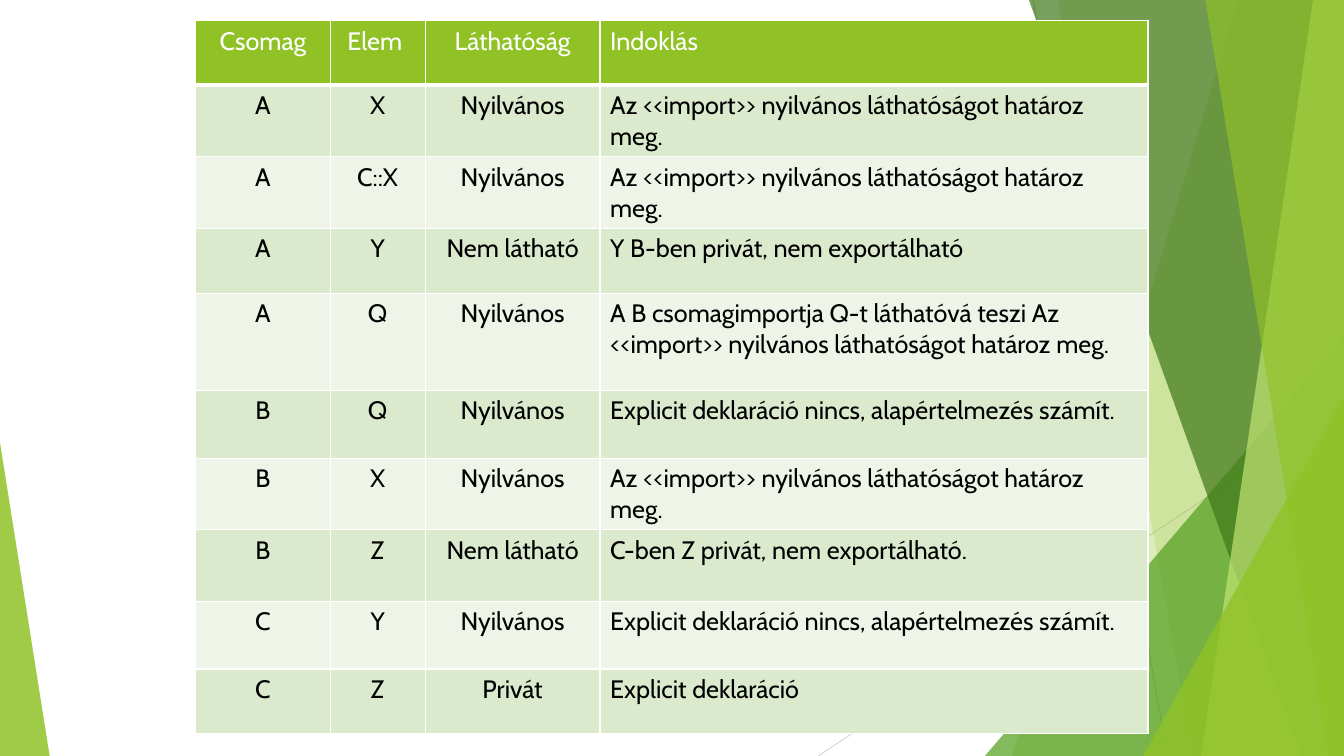
import pptx
import pptx.util
import pptx.dml.color
import pptx.enum.shapes
import pptx.enum.text
import pptx.oxml.ns
from lxml import etree

Pt = pptx.util.Pt
WIDTH, HEIGHT = 960, 540
COLORS = {
    "lime": "90C226", "green": "54A021", "forest": "3F7819", "pale": "C0E474",
    "band_dark": "DBE9CD", "band_light": "EEF4E8", "white": "FFFFFF",
    "black": "000000", "gray": "BFBFBF", "light_gray": "D9D9D9",
}


def add_element(parent, tag, **attributes):
    return etree.SubElement(parent, pptx.oxml.ns.qn(tag), **attributes)


class SlideBuilder:
    font, size = "Cabin", 18

    def __init__(self, presentation):
        self.slide = presentation.slides.add_slide(presentation.slide_layouts[6])

    def color(self, name):
        return pptx.dml.color.RGBColor.from_string(COLORS[name])

    def line(self, start, end, color):
        connector = self.slide.shapes.add_connector(
            pptx.enum.shapes.MSO_CONNECTOR.STRAIGHT, *map(Pt, start + end))
        connector.line.color.rgb = self.color(color)
        connector.line.width = Pt(0.75)
        add_element(connector._element.spPr, "a:effectLst")

    def paint(self, shape, color, opacity):
        shape.shadow.inherit = False
        shape.line.fill.background()
        shape.fill.solid()
        shape.fill.fore_color.rgb = self.color(color)
        solid = shape._element.spPr.find(pptx.oxml.ns.qn("a:solidFill"))
        add_element(solid[0], "a:alpha", val=str(opacity * 1000))

    def ray(self, top_x, bottom_x, color, opacity):
        """A full-height facet that reaches the right edge of the slide."""
        builder = self.slide.shapes.build_freeform(Pt(top_x), 0)
        corners = [(WIDTH, 0), (WIDTH, HEIGHT), (bottom_x, HEIGHT)]
        builder.add_line_segments([(Pt(x), Pt(y)) for x, y in corners], close=True)
        self.paint(builder.convert_to_shape(), color, opacity)

    def triangle(self, left, top, width, apex, color, opacity):
        """A triangle standing on the bottom edge of the slide."""
        shape = self.slide.shapes.add_shape(
            pptx.enum.shapes.MSO_SHAPE.ISOSCELES_TRIANGLE,
            Pt(left), Pt(top), Pt(width), Pt(HEIGHT - top))
        shape.adjustments[0] = apex
        self.paint(shape, color, opacity)

    def cell(self, cell, text, fill, color, centered, bottom_border):
        paragraph = cell.text_frame.paragraphs[0]
        if centered:
            paragraph.alignment = pptx.enum.text.PP_ALIGN.CENTER
        run = paragraph.add_run()
        run.text = text
        run.font.name = self.font
        run.font.size = Pt(self.size)
        run.font.color.rgb = self.color(color)
        # Borders come before the fill in the cell properties
        properties = cell._tc.get_or_add_tcPr()
        for side in "LRTB":
            width = bottom_border if side == "B" else 1
            border = add_element(properties, f"a:ln{side}", w=str(Pt(width)))
            add_element(add_element(border, "a:solidFill"), "a:srgbClr", val=COLORS["white"])
        cell.fill.solid()
        cell.fill.fore_color.rgb = self.color(fill)

    def table(self, left, top, widths, heights, rows):
        table = self.slide.shapes.add_table(
            len(rows), len(widths), Pt(left), Pt(top),
            Pt(sum(widths)), Pt(sum(heights))).table
        for column, width in zip(table.columns, widths):
            column.width = Pt(width)
        for i, (height, texts) in enumerate(zip(heights, rows)):
            table.rows[i].height = Pt(height)
            header = i == 0
            fill = "lime" if header else "band_dark" if i % 2 else "band_light"
            for j, text in enumerate(texts):
                self.cell(table.cell(i, j), text, fill, "white" if header else "black",
                          j < len(widths) - 1, 3 if header else 1)


IMPORT = "Az <<import>> nyilvános láthatóságot határoz meg."
DEFAULT = "Explicit deklaráció nincs, alapértelmezés számít."
VISIBILITY_ROWS = [
    ("Csomag", "Elem ", "Láthatóság", "Indoklás"),
    ("A", "X", "Nyilvános", IMPORT),
    ("A", "C::X", "Nyilvános", IMPORT),
    ("A", "Y", "Nem látható", "Y B-ben privát, nem exportálható"),
    ("A", "Q", "Nyilvános", f"A B csomagimportja Q-t láthatóvá teszi {IMPORT}"),
    ("B", "Q", "Nyilvános", DEFAULT),
    ("B", "X", "Nyilvános", IMPORT),
    ("B", "Z", "Nem látható", "C-ben Z privát, nem exportálható."),
    ("C", "Y", "Nyilvános", DEFAULT),
    ("C", "Z", "Privát", "Explicit deklaráció"),
]


def main():
    presentation = pptx.Presentation()
    presentation.slide_width, presentation.slide_height = Pt(WIDTH), Pt(HEIGHT)
    builder = SlideBuilder(presentation)

    # Background facets
    builder.line((738, 0), (834, HEIGHT), "gray")
    builder.line((WIDTH, 290), (584.5, HEIGHT), "light_gray")
    builder.ray(884, 723, "lime", 30)
    builder.ray(756, 852, "lime", 20)
    builder.triangle(703.5, 240, 256.5, 1, "green", 72)
    builder.ray(735, 929.5, "forest", 70)
    builder.ray(938, 858, "pale", 70)
    builder.ray(861, 949, "lime", 65)
    builder.triangle(816.5, 283, 143.5, 1, "lime", 80)
    builder.triangle(0, 316, 35.5, 0, "lime", 85)

    # Visibility table
    builder.table(139.7, 14.9, [96.2, 67.8, 125, 391.4],
                  [46, 51, 51, 46.3, 69.3, 48.5, 51, 51, 48.5, 46], VISIBILITY_ROWS)

    presentation.save("out.pptx")


if __name__ == "__main__":
    main()
